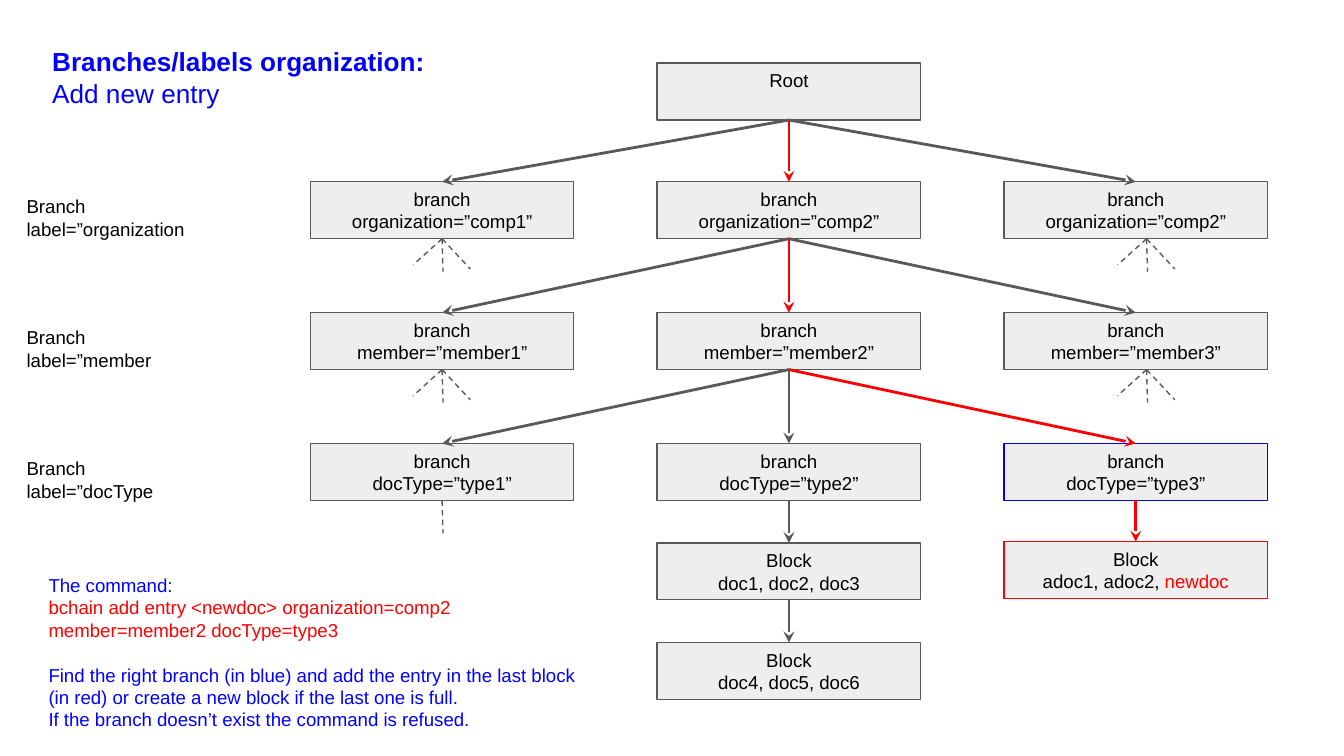
"""Builds the branch and label tree slide for adding a new entry."""
import pptx
import pptx.chart.data
import pptx.dml.color
import pptx.enum.dml
import pptx.enum.shapes
import pptx.enum.text
import pptx.oxml
import pptx.oxml.ns
import pptx.util

Pt = pptx.util.Pt
ALIGN = pptx.enum.text.PP_ALIGN
ANCHOR = pptx.enum.text.MSO_ANCHOR
GREY, RED, BLUE, BLACK = "595959", "FF0000", "0000FF", "000000"


def color(value):
    return pptx.dml.color.RGBColor.from_string(value)


def add_line(x1, y1, x2, y2, value, dashed=False):
    line = slide.shapes.add_connector(
        pptx.enum.shapes.MSO_CONNECTOR.STRAIGHT, Pt(x1), Pt(y1), Pt(x2), Pt(y2))
    line.line.color.rgb = color(value)
    line.line.width = Pt(0.75 if dashed else 1.5)
    if dashed:
        line.line.dash_style = pptx.enum.dml.MSO_LINE.DASH
    else:
        tail = pptx.oxml.parse_xml(
            f'<a:tailEnd {pptx.oxml.ns.nsdecls("a")} type="stealth" w="med" len="med"/>')
        line.line._get_or_add_ln().append(tail)
    effects = pptx.oxml.parse_xml(f'<a:effectLst {pptx.oxml.ns.nsdecls("a")}/>')
    line._element.spPr.append(effects)


prs = pptx.Presentation()
prs.slide_width, prs.slide_height = Pt(720), Pt(405)
slide = prs.slides.add_slide(prs.slide_layouts[6])

W, H = 141.12, 30.5
lefts = [166.3 + 185.8 * i for i in range(3)]
centers = [left + W / 2 for left in lefts]
root_top = 33.8
branch_tops = [97.4 + 70.1 * i for i in range(3)]
block_tops = [290.9, 344.2]
new_block_top = 290.2

labels = [
    ("organization", ["comp1", "comp2", "comp2"]),
    ("member", ["member1", "member2", "member3"]),
    ("docType", ["type1", "type2", "type3"]),
]
boxes = [(lefts[1], root_top, [[("Root", BLACK)]], GREY)]
texts = []
for top, (label, values) in zip(branch_tops, labels):
    for left, value in zip(lefts, values):
        border = BLUE if value == "type3" else GREY
        boxes.append((left, top, [[("branch", BLACK)], [(f"{label}=”{value}”", BLACK)]], border))
    texts.append((7.2, top, 105.1, H, 10, [(f"Branch label=”{label}", BLACK, False, 0)]))
for top, docs in zip(block_tops, ["doc1, doc2, doc3", "doc4, doc5, doc6"]):
    boxes.append((lefts[1], top, [[("Block", BLACK)], [(docs, BLACK)]], GREY))
boxes.append((lefts[2], new_block_top,
              [[("Block", BLACK)], [("adoc1, adoc2, ", BLACK), ("newdoc", RED)]], RED))

for left, top, lines, border in boxes:
    sp = slide.shapes.add_shape(
        pptx.enum.shapes.MSO_SHAPE.RECTANGLE, Pt(left), Pt(top), Pt(W), Pt(H))
    sp.shadow.inherit = False
    sp.fill.solid()
    sp.fill.fore_color.rgb = color("EEEEEE")
    sp.line.color.rgb = color(border)
    sp.line.width = Pt(0.75)
    tf = sp.text_frame
    tf.word_wrap = True
    tf.margin_left = tf.margin_right = tf.margin_top = tf.margin_bottom = Pt(7.2)
    tf.vertical_anchor = ANCHOR.MIDDLE
    if len(lines) == 1:
        tf.vertical_anchor = ANCHOR.TOP
        tf.margin_top = Pt(3.2)
    for i, runs in enumerate(lines):
        p = tf.add_paragraph() if i else tf.paragraphs[0]
        p.alignment = ALIGN.CENTER
        for text, value in runs:
            r = p.add_run()
            r.text = text
            r.font.name, r.font.size = "Arial", Pt(10)
            r.font.color.rgb = color(value)

parent_bottoms = [top + H for top in [root_top] + branch_tops[:2]]
for level, (bottom, top) in enumerate(zip(parent_bottoms, branch_tops)):
    chosen = 2 if level == 2 else 1
    for i, center in enumerate(centers):
        add_line(centers[1], bottom, center, top, RED if i == chosen else GREY)
add_line(centers[1], branch_tops[2] + H, centers[1], block_tops[0], GREY)
add_line(centers[1], block_tops[0] + H, centers[1], block_tops[1], GREY)
add_line(centers[2], branch_tops[2] + H, centers[2], new_block_top, RED)

fan = [(-15.5, 14), (0.5, 17.7), (15.1, 16.2)]
for top in branch_tops[:2]:
    for x in (centers[0], centers[2] + 5.8):
        for dx, dy in fan:
            add_line(x, top + H, x + dx, top + H + dy, GREY, True)
stub_top = branch_tops[2] + H
add_line(centers[0], stub_top, centers[0] + fan[1][0], stub_top + fan[1][1], GREY, True)

texts.append((18.9, 300.2, 303.1, 96.5, 10, [
    ("The command: ", BLUE, False, 0),
    ("bchain add entry <newdoc> organization=comp2 member=member2 docType=type3", RED, False, 0),
    ("Find the right branch (in blue) and add the entry in the last block (in red) "
     "or create a new block if the last one is full.", BLUE, False, 12),
    ("If the branch doesn’t exist the command is refused.", BLUE, False, 0),
]))
texts.append((20.9, 17.3, 256.3, 24.5, 14, [
    ("Branches/labels organization:", BLUE, True, 0),
    ("Add new entry", BLUE, False, 0),
]))
for left, top, width, height, size, lines in texts:
    tf = slide.shapes.add_textbox(Pt(left), Pt(top), Pt(width), Pt(height)).text_frame
    tf.word_wrap = True
    tf.margin_left = tf.margin_right = tf.margin_top = tf.margin_bottom = Pt(7.2)
    for i, (text, value, bold, gap) in enumerate(lines):
        p = tf.add_paragraph() if i else tf.paragraphs[0]
        p.text = text
        p.space_before = Pt(gap)
        font = p.runs[0].font
        font.name, font.size, font.bold = "Arial", Pt(size), bold
        font.color.rgb = color(value)

prs.save("out.pptx")
